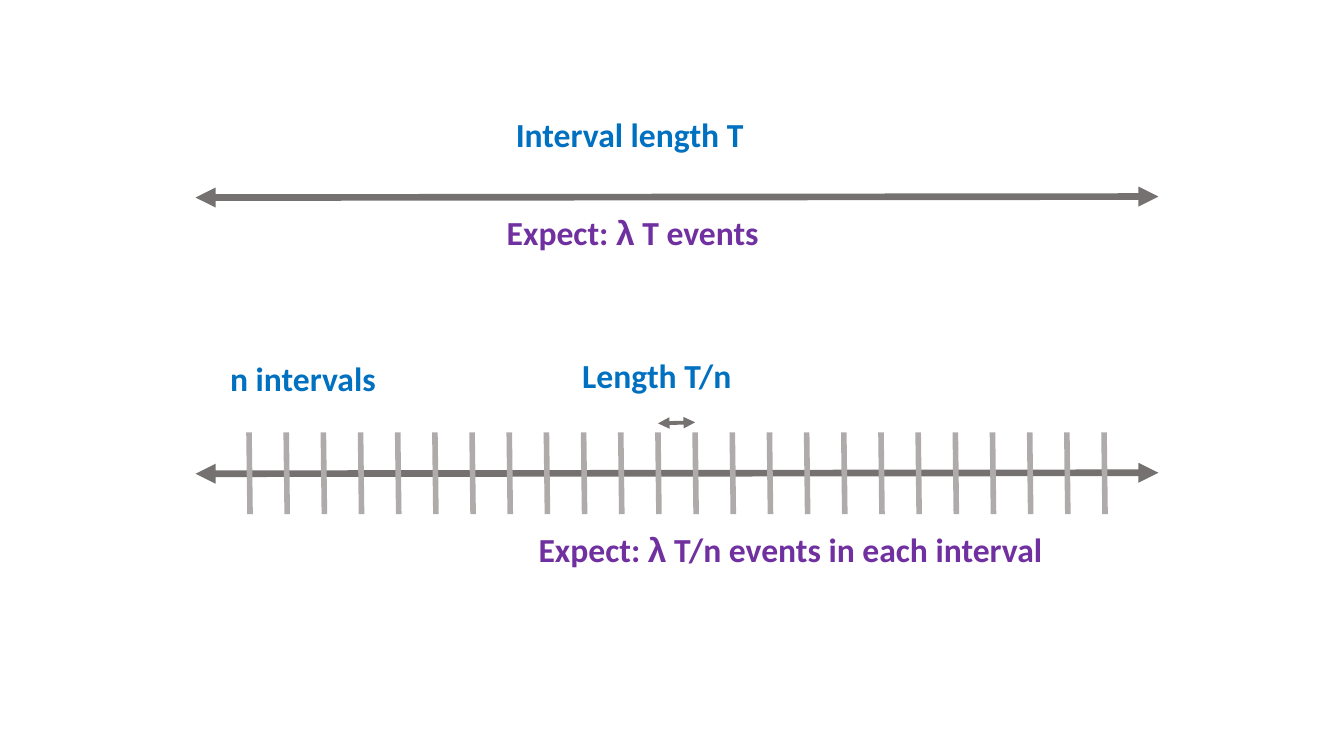
from lxml.etree import SubElement
from pptx import Presentation
from pptx.dml.color import RGBColor
from pptx.enum.shapes import MSO_CONNECTOR, MSO_SHAPE
from pptx.enum.text import MSO_ANCHOR, PP_ALIGN
from pptx.oxml.ns import qn
from pptx.util import Inches, Pt

WHITE = RGBColor(0xFF, 0xFF, 0xFF)
DARK_GRAY = RGBColor(0x76, 0x71, 0x71)
LIGHT_GRAY = RGBColor(0xAF, 0xAB, 0xAB)
BLUE = RGBColor(0x00, 0x70, 0xC0)
PURPLE = RGBColor(0x70, 0x30, 0xA0)

TICK_COUNT = 24
FIRST_TICK, LAST_TICK = 2.47, 10.95
TICK_STEP = (LAST_TICK - FIRST_TICK) / (TICK_COUNT - 1)
MARKED_INTERVAL = 11


class Diagram:
    font = "Calibri"
    symbol_font = "Arial"
    size = Pt(24)

    def __init__(self, slide):
        self.slide = slide

    def panel(self, left, top, width, height):
        self.shapes = self.slide.shapes.add_group_shape().shapes
        shape = self.shapes.add_shape(
            MSO_SHAPE.RECTANGLE, Inches(left), Inches(top), Inches(width), Inches(height))
        shape.shadow.inherit = False
        shape.fill.solid()
        shape.fill.fore_color.rgb = WHITE
        shape.line.fill.background()

    def line(self, start, end, color, weight):
        connector = self.shapes.add_connector(
            MSO_CONNECTOR.STRAIGHT, *map(Inches, (*start, *end)))
        connector.line.color.rgb = color
        connector.line.width = Pt(weight)
        SubElement(connector._element.spPr, qn("a:effectLst"))
        return connector

    def arrow(self, start, end, weight):
        connector = self.line(start, end, DARK_GRAY, weight)
        for tag in ("a:headEnd", "a:tailEnd"):
            SubElement(connector.line._get_or_add_ln(), qn(tag), type="triangle")

    def label(self, left, top, width, color, *texts):
        box = self.shapes.add_textbox(
            Inches(left), Inches(top), Inches(width), Inches(0.58))
        frame = box.text_frame
        frame.word_wrap = True
        frame.vertical_anchor = MSO_ANCHOR.MIDDLE
        frame.margin_left = frame.margin_right = 0
        paragraph = frame.paragraphs[0]
        paragraph.alignment = PP_ALIGN.CENTER
        paragraph.font.size = self.size
        paragraph.font.bold = True
        paragraph.font.color.rgb = color
        for text in texts:
            run = paragraph.add_run()
            run.text = text
            run.font.size = self.size
            run.font.bold = True
            run.font.color.rgb = color
            run.font.name = self.symbol_font if text == "λ" else self.font


presentation = Presentation()
presentation.slide_width = Inches(13.33)
presentation.slide_height = Inches(7.5)
diagram = Diagram(presentation.slides.add_slide(presentation.slide_layouts[6]))

diagram.panel(1.49, 0.8, 10.42, 2.08)
diagram.arrow((1.94, 1.96), (11.49, 1.95), 4.75)
diagram.label(4.89, 1.04, 2.71, BLUE, "Interval length T")
diagram.label(4.92, 2.01, 2.71, PURPLE, "Expect: ", "λ", " T events")

diagram.panel(1.56, 3.29, 10.42, 2.6)
diagram.arrow((1.94, 4.7), (11.49, 4.69), 4.75)
ticks = [FIRST_TICK + index * TICK_STEP for index in range(TICK_COUNT)]
for tick in ticks:
    diagram.line((tick, 4.29), (tick + 0.01, 5.1), LIGHT_GRAY, 4)
diagram.label(1.94, 3.46, 2.13, BLUE, "n intervals")
diagram.label(5.16, 3.43, 2.71, BLUE, "Length T/n")
diagram.arrow((ticks[MARKED_INTERVAL], 4.2), (ticks[MARKED_INTERVAL + 1], 4.19), 2.75)
diagram.label(5.09, 5.16, 5.5, PURPLE, "Expect: ", "λ", " T/n events in each interval")

presentation.save("out.pptx")
